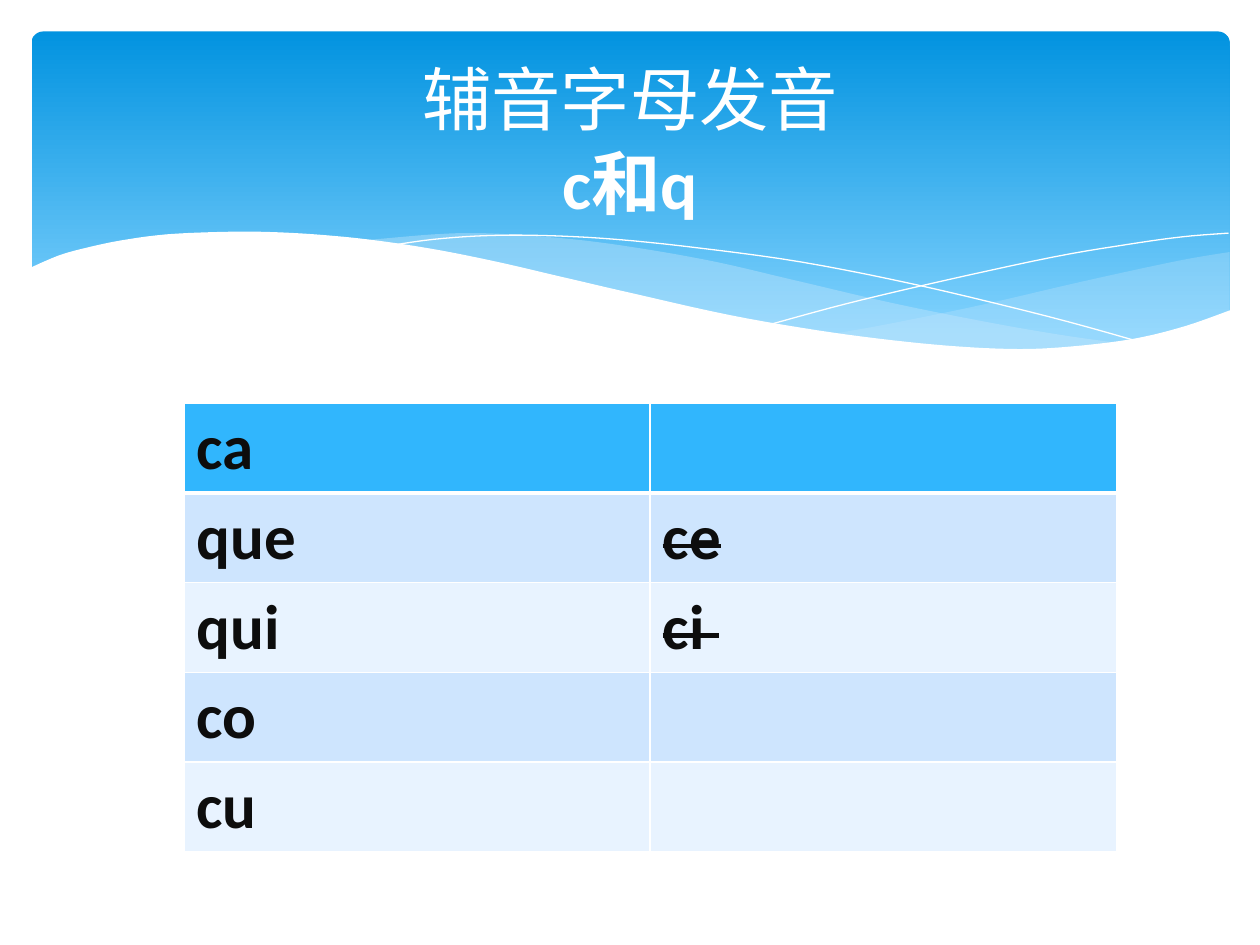
from lxml.etree import SubElement
from pptx import Presentation
from pptx.dml.color import RGBColor
from pptx.enum.shapes import MSO_SHAPE
from pptx.enum.text import MSO_ANCHOR, MSO_AUTO_SIZE, PP_ALIGN
from pptx.oxml.ns import qn
from pptx.util import Inches, Pt

WHITE = RGBColor(0xFF, 0xFF, 0xFF)
INK = RGBColor(0x0D, 0x0D, 0x0D)
SKY_TOP = RGBColor(0x02, 0x93, 0xE0)
SKY_BOTTOM = RGBColor(0x83, 0xD3, 0xFE)
MIST = RGBColor(0xC6, 0xE7, 0xFC)
HEADER_BLUE = RGBColor(0x31, 0xB6, 0xFD)
BAND_DARK = RGBColor(0xCE, 0xE5, 0xFE)
BAND_LIGHT = RGBColor(0xE8, 0xF3, 0xFF)

RIGHT_CREST = [(9.76, 2), (9.35, 2.07), (8.61, 2.23), (7.79, 2.42), (7.06, 2.57), (6.61, 2.65)]
RIGHT_BASE = [(6.61, 2.65), (7.05, 2.71), (7.57, 2.76), (8.03, 2.78), (8.54, 2.76),
              (8.97, 2.7), (9.35, 2.62), (9.76, 2.47)]
LEFT_CREST = [(8.93, 2.73), (8.37, 2.65), (7.75, 2.54), (7.06, 2.4), (6.29, 2.22),
              (5.69, 2.08), (5.14, 1.98), (4.65, 1.91), (4.2, 1.87), (3.8, 1.85),
              (3.44, 1.86), (2.86, 1.91)]
LEFT_BASE = [(2.86, 1.91), (3.42, 1.99), (4.04, 2.11), (4.91, 2.32), (5.66, 2.48),
             (6.34, 2.61), (6.95, 2.7), (7.48, 2.76), (8.07, 2.78), (8.57, 2.77), (8.93, 2.73)]
FALLING_LINE = [(3.09, 1.95), (3.44, 1.9), (3.87, 1.87), (4.33, 1.87), (4.89, 1.9),
                (5.56, 1.97), (6.36, 2.08), (7.27, 2.26), (8.31, 2.51), (9.07, 2.72)]
RISING_LINE = [(6.13, 2.57), (6.72, 2.41), (7.48, 2.23), (8.36, 2.04), (8.95, 1.94),
               (9.38, 1.88), (9.75, 1.85)]
PAGE_EDGE = [(9.77, 2.46), (9.4, 2.59), (8.99, 2.69), (8.5, 2.75), (8.09, 2.77),
             (7.61, 2.75), (7.08, 2.7), (6.48, 2.62), (5.79, 2.5), (5.03, 2.33),
             (4.47, 2.2), (3.91, 2.07), (3.4, 1.97), (2.92, 1.9), (2.5, 1.86),
             (2.11, 1.84), (1.77, 1.84), (1.32, 1.86), (0.95, 1.91), (0.67, 1.97),
             (0.46, 2.03), (0.23, 2.13)]
SYLLABLES = [("ca", ""), ("que", "ce"), ("qui", "ci "), ("co", ""), ("cu", "")]


def smooth_curve(knots, steps=5):
    padded = [knots[0], *knots, knots[-1]]
    points = []
    for before, start, end, after in zip(padded, padded[1:], padded[2:], padded[3:]):
        for step in range(steps):
            t = step / steps
            points.append(tuple(
                0.5 * (2 * b + (c - a) * t + (2 * a - 5 * b + 4 * c - d) * t ** 2
                       + (3 * b - a - 3 * c + d) * t ** 3)
                for a, b, c, d in zip(before, start, end, after)))
    return points + [knots[-1]]


def add_outline(page, points, closed=True):
    corners = [(Inches(x), Inches(y)) for x, y in points]
    builder = page.shapes.build_freeform(*corners[0])
    builder.add_line_segments(corners[1:], close=closed)
    shape = builder.convert_to_shape()
    shape.shadow.inherit = False
    return shape


def add_wave(page, points, color, opacity=100):
    wave = add_outline(page, points)
    wave.line.fill.background()
    wave.fill.solid()
    wave.fill.fore_color.rgb = color
    if opacity < 100:
        tint = wave.fill._xPr.find(qn("a:solidFill"))[0]
        SubElement(tint, qn("a:alpha")).set("val", str(opacity * 1000))


def add_thin_line(page, knots):
    curve = add_outline(page, smooth_curve(knots), closed=False)
    curve.fill.background()
    curve.line.color.rgb = WHITE
    curve.line.width = Pt(0)


def add_banner(page):
    banner = page.shapes.add_shape(
        MSO_SHAPE.ROUNDED_RECTANGLE, Inches(0.25), Inches(0.25), Inches(9.51), Inches(2.7))
    banner.adjustments[0] = 0.034
    banner.shadow.inherit = False
    banner.line.fill.background()
    banner.fill.gradient()
    banner.fill.gradient_angle = 270
    for stop, color, position in zip(banner.fill.gradient_stops, (SKY_TOP, SKY_BOTTOM), (0, 0.9)):
        stop.color.rgb = color
        stop.position = position


def write_text(para, text, size, color, bold=False, strike=False):
    span = para.add_run()
    span.text = text
    span.font.name = "Calibri"
    span.font.size = Pt(size)
    span.font.bold = bold
    span.font.color.rgb = color
    if strike:
        span._r.get_or_add_rPr().set("strike", "sngStrike")


def fill_title(page):
    title = page.shapes.title
    title.left, title.top, title.width, title.height = map(Inches, (0.5, 0.37, 9, 1.37))
    page.shapes._spTree.append(title._element)
    frame = title.text_frame
    frame.auto_size = MSO_AUTO_SIZE.NONE
    frame.word_wrap = True
    frame.vertical_anchor = MSO_ANCHOR.MIDDLE
    frame.margin_top, frame.margin_bottom = Inches(0.1), 0
    for para, text, bold in ((frame.paragraphs[0], "辅音字母发音", False),
                             (frame.add_paragraph(), "c和q", True)):
        para.alignment = PP_ALIGN.CENTER
        para.line_spacing = Pt(48)
        write_text(para, text, 39.6, WHITE, bold=bold)


def set_borders(cell, **widths):
    properties = cell._tc.get_or_add_tcPr()
    for side in "LRTB":
        border = SubElement(properties, qn(f"a:ln{side}"), w=str(Pt(widths.get(side, 1))))
        fill = SubElement(border, qn("a:solidFill"))
        SubElement(fill, qn("a:srgbClr"), val=str(WHITE))


def add_syllable_table(page):
    table = page.shapes.add_table(
        len(SYLLABLES), 2, Inches(1.46), Inches(3.2), Inches(7.4), Inches(3.55)).table
    for row, texts in enumerate(SYLLABLES):
        band = HEADER_BLUE if row == 0 else BAND_DARK if row % 2 else BAND_LIGHT
        for column, text in enumerate(texts):
            cell = table.cell(row, column)
            set_borders(cell, T=3 if row == 1 else 1, B=3 if row == 0 else 1)
            cell.fill.solid()
            cell.fill.fore_color.rgb = band
            if text:
                write_text(cell.text_frame.paragraphs[0], text, 36, INK,
                           bold=True, strike=column == 1)


def main():
    deck = Presentation()
    deck.slide_width, deck.slide_height = Inches(10), Inches(7.5)
    page = deck.slides.add_slide(deck.slide_layouts[5])
    add_banner(page)
    add_wave(page, smooth_curve(RIGHT_CREST) + smooth_curve(RIGHT_BASE), MIST, opacity=29)
    add_wave(page, smooth_curve(LEFT_CREST) + smooth_curve(LEFT_BASE), MIST, opacity=40)
    add_thin_line(page, FALLING_LINE)
    add_thin_line(page, RISING_LINE)
    add_wave(page, smooth_curve(PAGE_EDGE) + [(0.23, 3.29), (9.77, 3.29)], WHITE)
    fill_title(page)
    add_syllable_table(page)
    deck.save("out.pptx")


if __name__ == "__main__":
    main()
